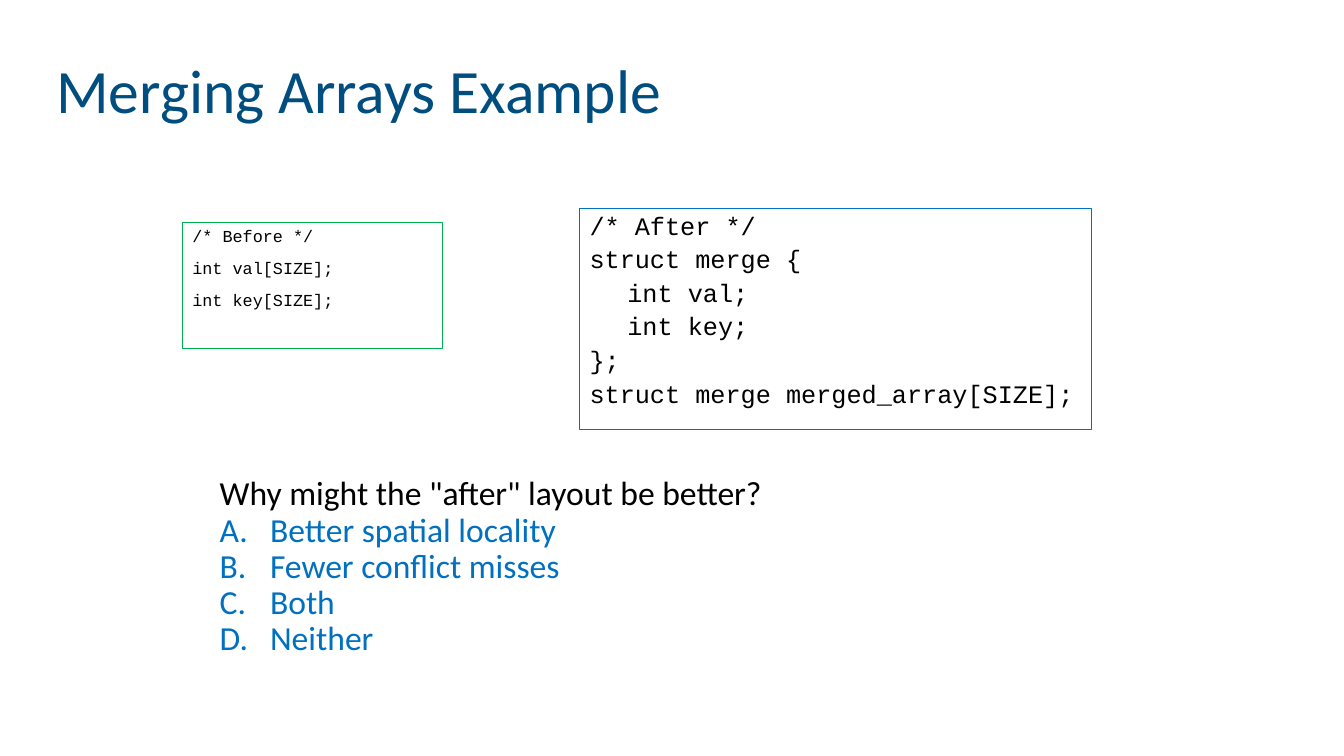
from dataclasses import dataclass

from pptx import Presentation
from pptx import util as u
from pptx.dml import color as c
from pptx.enum import shapes, text
from pptx.oxml import xmlchemy as x
from pptx.slide import Slide


@dataclass(frozen=True)
class Theme:
    sans: str = "Calibri"
    mono: str = "Courier New"
    navy: str = "004D80"
    black: str = "000000"
    green: str = "00B050"
    blue: str = "0070C0"
    title: float = 44
    ask: float = 24
    small: float = 12
    code: float = 18


@dataclass(frozen=True)
class Line:
    words: str
    color: str = Theme.black
    indent: float = 0
    letter: bool = False


@dataclass(frozen=True)
class Block:
    left: float
    top: float
    width: float
    height: float
    lines: list[Line]
    font: str
    size: float
    gap: float = 0
    border: str | None = None
    anchor: text.MSO_ANCHOR = text.MSO_ANCHOR.TOP


T = Theme()
STEP = 27
HANG = 36

BLOCKS = [
    Block(33.1, 14.4, 909.4, 104.4, [Line("Merging Arrays Example", T.navy)],
          T.sans, T.title, anchor=text.MSO_ANCHOR.MIDDLE),
    Block(130.3, 159.1, 185.8, 90,
          [Line("/* Before */"), Line("int val[SIZE];"), Line("int key[SIZE];")],
          T.mono, T.small, gap=10, border=T.green),
    Block(414, 149, 365.8, 157.7,
          [Line("/* After */"), Line("struct merge {"),
           Line("int val;", indent=STEP), Line("int key;", indent=STEP),
           Line("};"), Line("struct merge merged_array[SIZE];")],
          T.mono, T.code, gap=4.5, border=T.blue),
    Block(149.8, 337, 421.2, 138.2,
          [Line('Why might the "after" layout be better?')]
          + [Line(words, T.blue, HANG, True) for words in
             ("Better spatial locality", "Fewer conflict misses", "Both", "Neither")],
          T.sans, T.ask),
]


def indent(props: x.BaseOxmlElement, line: Line) -> None:
    """Set the left margin, with a hanging letter where the line is an answer."""
    props.set("marL", str(u.Pt(line.indent)))
    props.set("indent", str(u.Pt(-line.indent if line.letter else 0)))
    if line.letter:
        mark = props.makeelement(
            "{http://schemas.openxmlformats.org/drawingml/2006/main}buAutoNum",
            {"type": "alphaUcPeriod"})
        props.append(mark)


def draw(slide: Slide, block: Block) -> None:
    area = [u.Pt(n) for n in (block.left, block.top, block.width, block.height)]
    if block.border:
        shape = slide.shapes.add_shape(shapes.MSO_SHAPE.RECTANGLE, *area)
        shape.shadow.inherit = False
        shape.fill.background()
        shape.line.color.rgb = c.RGBColor.from_string(block.border)
        shape.line.width = u.Pt(1)
    else:
        shape = slide.shapes.add_textbox(*area)
    frame = shape.text_frame
    frame.word_wrap = True
    frame.vertical_anchor = block.anchor
    for i, line in enumerate(block.lines):
        para = frame.add_paragraph() if i else frame.paragraphs[0]
        para.alignment = text.PP_ALIGN.LEFT
        para.line_spacing = 0.9
        para.space_before = u.Pt(block.gap)
        indent(para._p.get_or_add_pPr(), line)
        run = para.add_run()
        run.text = line.words
        run.font.name = block.font
        run.font.size = u.Pt(block.size)
        run.font.color.rgb = c.RGBColor.from_string(line.color)


def main() -> None:
    deck = Presentation()
    deck.slide_width, deck.slide_height = u.Pt(960), u.Pt(540)
    slide = deck.slides.add_slide(deck.slide_layouts[6])
    for block in BLOCKS:
        draw(slide, block)
    deck.save("out.pptx")


if __name__ == "__main__":
    main()
